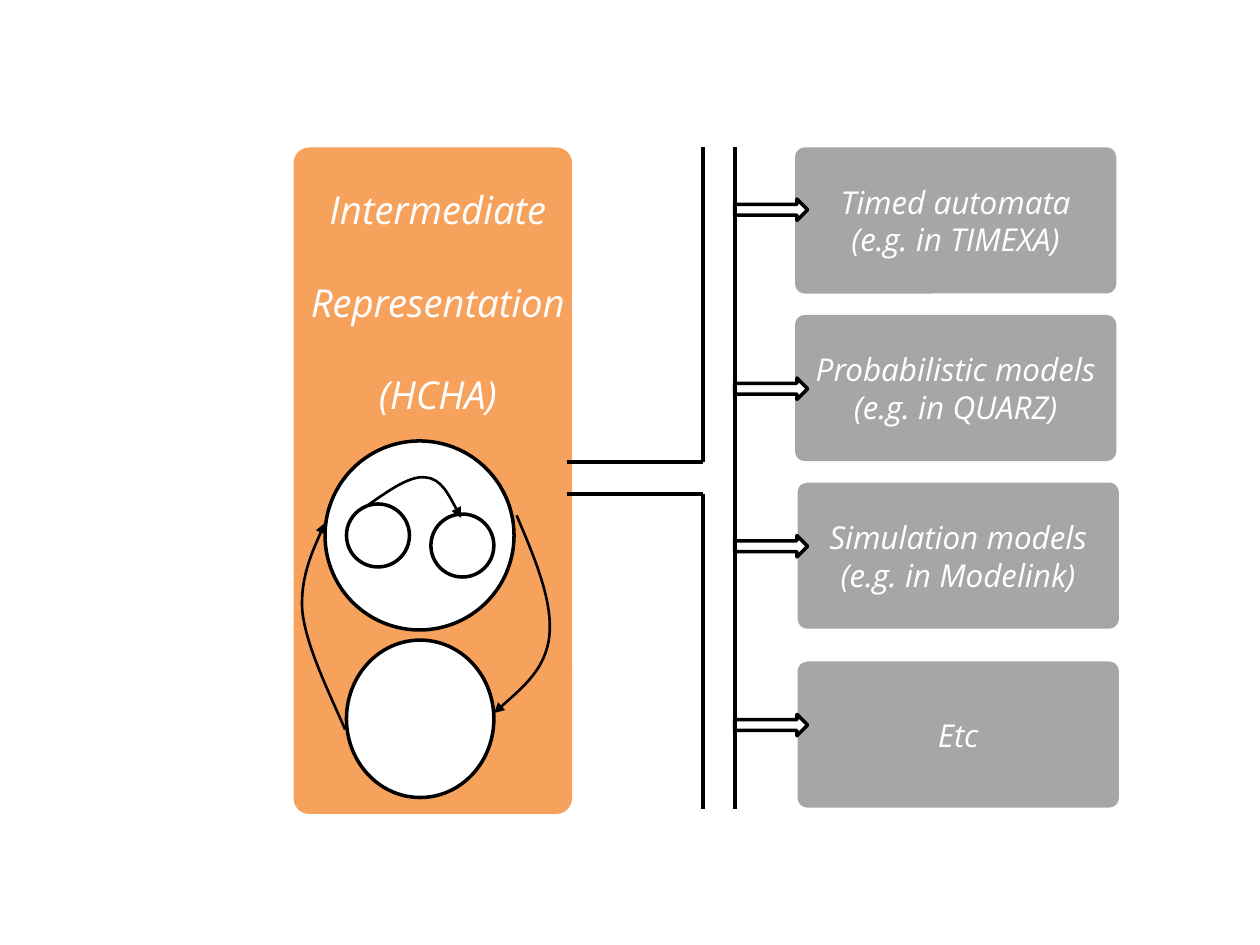
from pptx import Presentation
from pptx.dml.color import RGBColor
from pptx.enum.shapes import MSO_CONNECTOR, MSO_SHAPE
from pptx.enum.text import MSO_ANCHOR, PP_ALIGN
from pptx.oxml.ns import qn
from pptx.oxml.xmlchemy import OxmlElement
from pptx.util import Inches, Pt

FONT = "Open Sans"
BLACK, WHITE, ORANGE, GREY = "000000", "FFFFFF", "F79646", "A6A6A6"

PANEL_LINES = ["Intermediate", "Representation", "(HCHA)"]
# left, top, lines of text, top of the arrow that points to the box
TARGETS = [
    (6.31, 1.17, ["Timed automata", "(e.g. in TIMEXA)"], 1.58),
    (6.31, 2.5, ["Probabilistic models", "(e.g. in QUARZ)"], 3),
    (6.33, 3.83, ["Simulation models", "(e.g. in Modelink)"], 4.25),
    (6.33, 5.25, ["Etc"], 5.67),
]
OUTER_STATES = [(2.58, 3.5, 1.5, 1.5), (2.75, 5.08, 1.17, 1.25)]
INNER_STATES = [(2.75, 4, 0.5, 0.5), (3.42, 4.08, 0.5, 0.5)]
# start point, then three points for each cubic curve
TRANSITIONS = [
    [(4.1, 4.09), (4.25, 4.44), (4.39, 4.78), (4.36, 5.05),
     (4.33, 5.31), (4.12, 5.48), (3.92, 5.66)],
    [(2.74, 5.79), (2.59, 5.45), (2.43, 5.12), (2.4, 4.85),
     (2.38, 4.57), (2.58, 4.15), (2.58, 4.15)],
    [(2.92, 4.01), (3.09, 3.89), (3.26, 3.77), (3.38, 3.79),
     (3.5, 3.8), (3.58, 3.96), (3.66, 4.11)],
]
BUS_LEFT, BUS_RIGHT, BUS_TOP, BUS_BOTTOM = 5.58, 5.83, 1.17, 6.42
STEM_LEFT, STEM_TOP, STEM_BOTTOM = 4.5, 3.67, 3.92
BUS_LINES = [
    (BUS_LEFT, BUS_TOP, BUS_LEFT, STEM_TOP),
    (BUS_RIGHT, BUS_TOP, BUS_RIGHT, BUS_BOTTOM),
    (BUS_LEFT, STEM_BOTTOM, BUS_LEFT, BUS_BOTTOM),
    (STEM_LEFT, STEM_TOP, BUS_LEFT, STEM_TOP),
    (STEM_LEFT, STEM_BOTTOM, BUS_LEFT, STEM_BOTTOM),
]


def rgb(value):
    """Turn a hex string into a colour."""
    return RGBColor.from_string(value)


def set_line(line, width):
    """Draw a line in black at a width in points."""
    line.color.rgb = rgb(BLACK)
    line.width = Pt(width)


def add_part(s, kind, box, fill, line=None, adj=None):
    """Add a filled preset shape, outlined when a line width is given."""
    sp = s.shapes.add_shape(kind, *map(Inches, box))
    sp.shadow.inherit = False
    sp.fill.solid()
    sp.fill.fore_color.rgb = rgb(fill)
    if line:
        set_line(sp.line, line)
    else:
        sp.line.fill.background()
    if adj is not None:
        sp.adjustments[0] = adj
    return sp


def set_text(sp, lines, size, anchor, gap=0):
    """Write centred white italic lines, with a gap in points between them."""
    tf = sp.text_frame
    tf.word_wrap = True
    tf.vertical_anchor = anchor
    tf.margin_left = tf.margin_right = Inches(0.05)
    tf.margin_top = tf.margin_bottom = Inches(0.03)
    for i, text in enumerate(lines):
        p = tf.paragraphs[0] if i == 0 else tf.add_paragraph()
        p.alignment = PP_ALIGN.CENTER
        p.line_spacing = Pt(size * 1.2)
        p.space_before = Pt(gap if i else 0)
        r = p.add_run()
        r.text = text
        r.font.name = FONT
        r.font.size = Pt(size)
        r.font.italic = True
        r.font.color.rgb = rgb(WHITE)


def add_curve(s, points):
    """Add an open cubic curve that ends in an arrowhead."""
    start, *rest = [(Inches(x), Inches(y)) for x, y in points]
    builder = s.shapes.build_freeform(*start)
    builder.add_line_segments(rest, close=False)
    sp = builder.convert_to_shape()
    sp.shadow.inherit = False
    sp.fill.background()
    set_line(sp.line, 1.5)
    segments = list(sp._element.iter(qn("a:lnTo")))
    for i in range(0, len(segments), 3):
        cubic = OxmlElement("a:cubicBezTo")
        segments[i].addprevious(cubic)
        for segment in segments[i:i + 3]:
            cubic.append(segment[0])
            segment.getparent().remove(segment)
    tail = OxmlElement("a:tailEnd")
    tail.set("type", "triangle")
    sp.line._get_or_add_ln().append(tail)


def add_line(s, x1, y1, x2, y2):
    """Add a straight black line without a shadow."""
    line = s.shapes.add_connector(
        MSO_CONNECTOR.STRAIGHT, *map(Inches, (x1, y1, x2, y2)))
    set_line(line.line, 2.25)
    line._element.spPr.append(OxmlElement("a:effectLst"))


prs = Presentation()
prs.slide_width, prs.slide_height = Inches(10), Inches(7.5)
s = prs.slides.add_slide(prs.slide_layouts[6])

panel = add_part(s, MSO_SHAPE.ROUNDED_RECTANGLE, (2.33, 1.17, 2.21, 5.29),
                 ORANGE, adj=0.056)
alpha = OxmlElement("a:alpha")
alpha.set("val", "88000")
panel._element.spPr.find(qn("a:solidFill"))[0].append(alpha)
heading = s.shapes.add_textbox(*map(Inches, (2.25, 1.45, 2.45, 1.9)))
set_text(heading, PANEL_LINES, 22, MSO_ANCHOR.TOP, gap=26.4)

for left, top, lines, _ in TARGETS:
    target = add_part(s, MSO_SHAPE.ROUNDED_RECTANGLE, (left, top, 2.55, 1.16),
                      GREY, adj=0.068)
    set_text(target, lines, 18, MSO_ANCHOR.MIDDLE)

for state in OUTER_STATES + INNER_STATES:
    add_part(s, MSO_SHAPE.OVAL, state, WHITE, line=2)
for transition in TRANSITIONS:
    add_curve(s, transition)

for *_, arrow_top in TARGETS:
    add_part(s, MSO_SHAPE.RIGHT_ARROW, (BUS_RIGHT, arrow_top, 0.58, 0.17),
             WHITE, line=2)
for ends in BUS_LINES:
    add_line(s, *ends)

prs.save("out.pptx")
